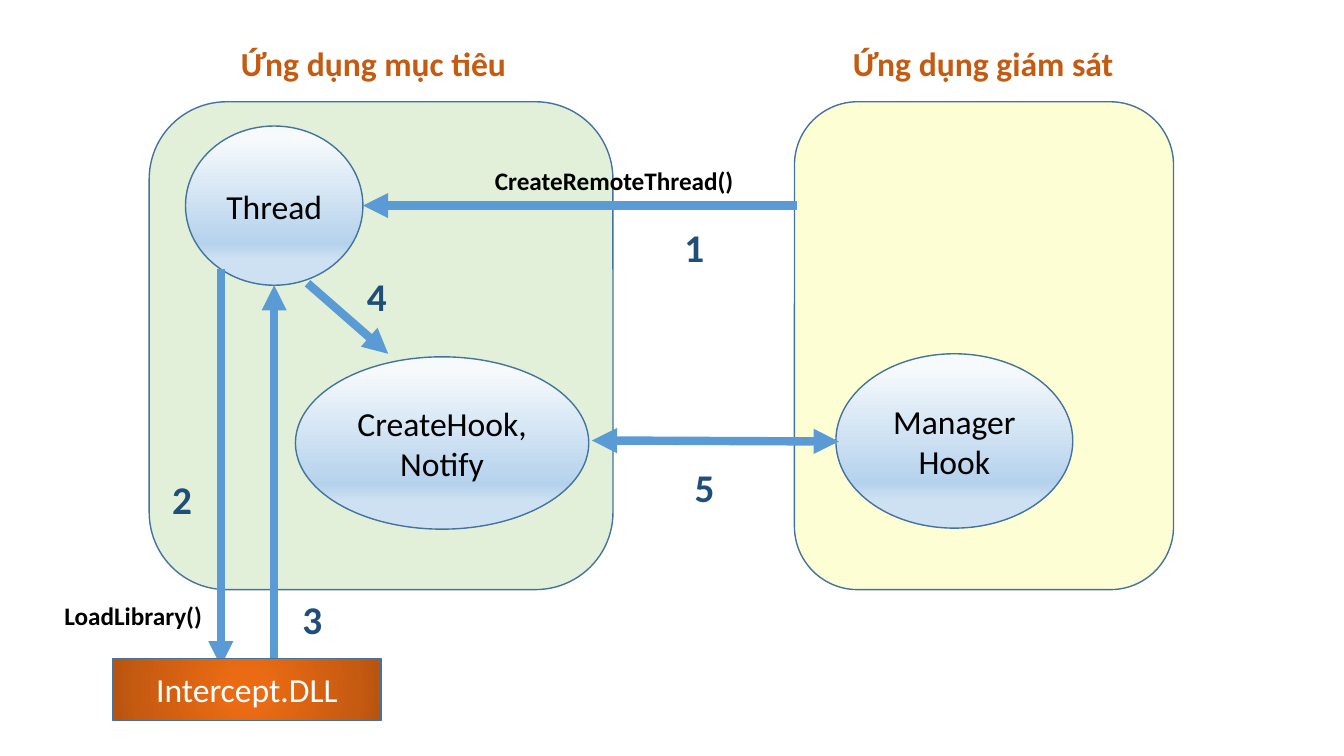
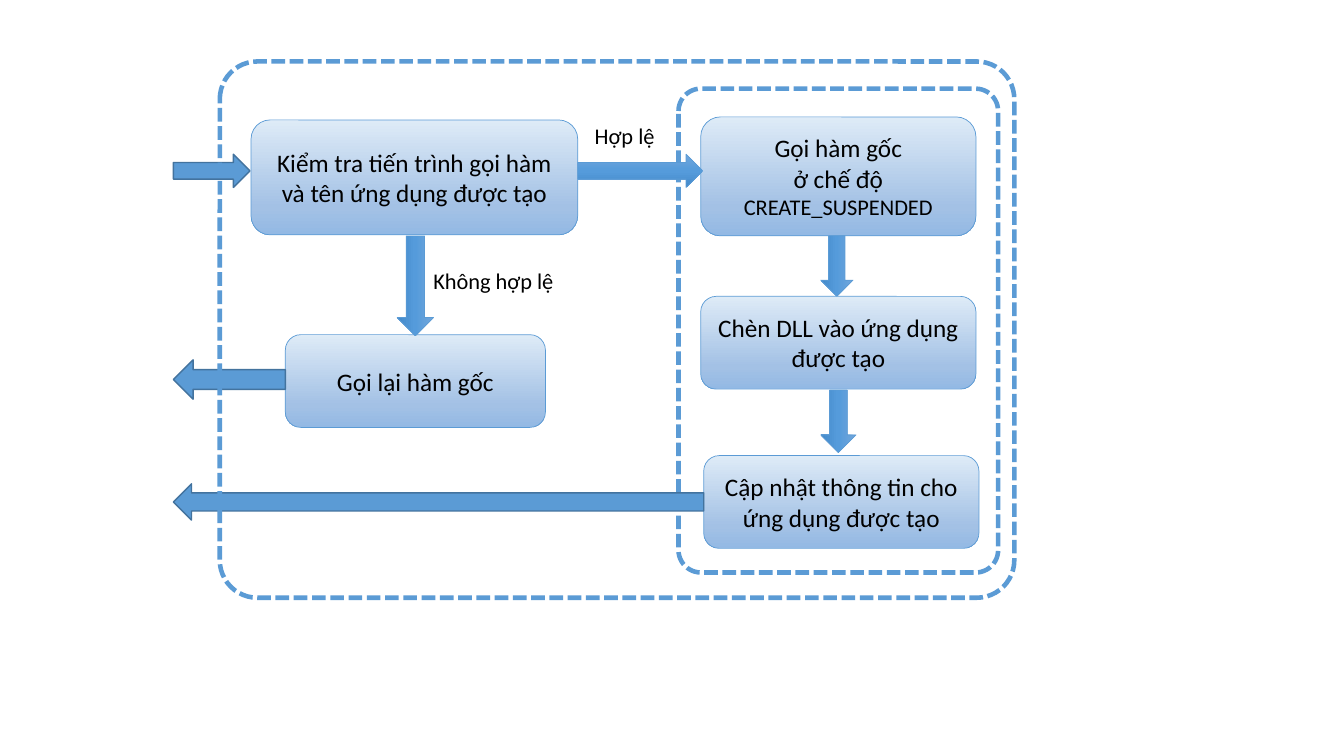
import pptx
import pptx.util
import pptx.dml.color
import pptx.enum.dml
import pptx.enum.shapes
import pptx.enum.text
import pptx.oxml.ns
import lxml.etree

RGBColor = pptx.dml.color.RGBColor
SHAPE = pptx.enum.shapes.MSO_SHAPE
qn = pptx.oxml.ns.qn

EMU_PER_PX = 9144
FONT = "Calibri"

BLACK = RGBColor(0x00, 0x00, 0x00)
WHITE = RGBColor(0xFF, 0xFF, 0xFF)
BLUE = RGBColor(0x5B, 0x9B, 0xD5)
OUTLINE = RGBColor(0x43, 0x73, 0x9E)
NAVY = RGBColor(0x1F, 0x4E, 0x79)
RUST = RGBColor(0xC5, 0x5A, 0x11)
PALE_GREEN = RGBColor(0xE2, 0xF0, 0xD9)
PALE_YELLOW = RGBColor(0xFE, 0xFE, 0xD4)

NODE_STOPS = [(7, RGBColor(0xF7, 0xFA, 0xFD)), (74, RGBColor(0xB5, 0xD2, 0xEC)),
              (84, RGBColor(0xCE, 0xE1, 0xF2))]
STEP_STOPS = [(0, RGBColor(0xDE, 0xEB, 0xF7)), (76, RGBColor(0xA3, 0xC1, 0xE5)),
              (100, RGBColor(0x93, 0xB9, 0xE4))]
ARROW_STOPS = [(0, RGBColor(0x71, 0xA6, 0xDB)), (50, RGBColor(0x55, 0x9B, 0xDB)),
               (100, RGBColor(0x44, 0x8A, 0xCA))]
LIBRARY_STOPS = [(0, RGBColor(0xEA, 0x6B, 0x14)), (13, RGBColor(0xEA, 0x6B, 0x14)),
                 (82, RUST), (97, RGBColor(0xB8, 0x54, 0x10))]


def px(value):
    return pptx.util.Emu(value * EMU_PER_PX)


def inside(box, left, top, width, height):
    return box[0] + left, box[1] + top, width, height


def style_run(run, size, color, bold=False):
    run.font.name = FONT
    run.font.size = pptx.util.Pt(size)
    run.font.bold = bold
    run.font.color.rgb = color


def fill_gradient(shape, stops, angle):
    shape.fill.gradient()
    gradient = shape._element.spPr.find(qn("a:gradFill"))
    gradient.set("rotWithShape", "1")
    for child in list(gradient):
        gradient.remove(child)
    stop_list = lxml.etree.SubElement(gradient, qn("a:gsLst"))
    for position, color in stops:
        stop = lxml.etree.SubElement(stop_list, qn("a:gs"), pos=str(position * 1000))
        lxml.etree.SubElement(stop, qn("a:srgbClr"), val=str(color))
    if angle is None:
        radial = lxml.etree.SubElement(gradient, qn("a:path"))
        radial.set("path", "circle")
        sides = dict.fromkeys("ltrb", "50000")
        lxml.etree.SubElement(radial, qn("a:fillToRect"), **sides)
    else:
        lxml.etree.SubElement(gradient, qn("a:lin"), ang=str(angle * 60000), scaled="0")


def add_shape(slide, preset, box, fill=None, angle=90, line=OUTLINE, line_width=1):
    shape = slide.shapes.add_shape(preset, *map(px, box))
    shape.shadow.inherit = False
    if fill is None:
        shape.fill.background()
    elif isinstance(fill, list):
        fill_gradient(shape, fill, angle)
    else:
        shape.fill.solid()
        shape.fill.fore_color.rgb = fill
    shape.line.color.rgb = line
    shape.line.width = pptx.util.Pt(line_width)
    return shape


def write_centred(shape, text, size, color=BLACK):
    text_frame = shape.text_frame
    text_frame.word_wrap = True
    text_frame.vertical_anchor = pptx.enum.text.MSO_ANCHOR.MIDDLE
    text_frame.text = text
    for paragraph in text_frame.paragraphs:
        paragraph.alignment = pptx.enum.text.PP_ALIGN.CENTER
        for run in paragraph.runs:
            style_run(run, size, color)


def add_label(slide, box, text, size, color=BLACK, bold=False):
    text_frame = slide.shapes.add_textbox(*map(px, box)).text_frame
    text_frame.word_wrap = False
    text_frame.auto_size = pptx.enum.text.MSO_AUTO_SIZE.SHAPE_TO_FIT_TEXT
    text_frame.text = text
    style_run(text_frame.paragraphs[0].runs[0], size, color, bold)


def add_arrow(slide, start, end, both_ends=False):
    connector = slide.shapes.add_connector(
        pptx.enum.shapes.MSO_CONNECTOR.STRAIGHT, *map(px, start + end))
    connector.line.color.rgb = BLUE
    connector.line.width = pptx.util.Pt(6)
    properties = connector._element.spPr
    line = properties.find(qn("a:ln"))
    for tag in ["a:headEnd", "a:tailEnd"] if both_ends else ["a:tailEnd"]:
        lxml.etree.SubElement(line, qn(tag), type="triangle")
    lxml.etree.SubElement(properties, qn("a:effectLst"))


def draw_application(slide, box, heading, heading_box, fill, nodes):
    add_shape(slide, SHAPE.ROUNDED_RECTANGLE, box, fill)
    add_label(slide, inside(box, *heading_box), heading, 24, RUST, True)
    for text, node_box in nodes:
        node = add_shape(slide, SHAPE.OVAL, inside(box, *node_box), NODE_STOPS)
        write_centred(node, text, 24)


def draw_library(slide, box):
    library = add_shape(slide, SHAPE.RECTANGLE, box, LIBRARY_STOPS, angle=None)
    write_centred(library, "Intercept.DLL", 24, WHITE)


def build_hook_slide(slide):
    draw_application(slide, (148, 101, 460, 484), "Ứng dụng mục tiêu",
                     (81, -63, 286, 50), PALE_GREEN,
                     [("Thread", (36, 24, 176, 158)),
                      ("CreateHook, Notify", (145, 253, 291, 171))])
    draw_application(slide, (788, 101, 376, 484), "Ứng dụng giám sát",
                     (48, -63, 281, 50), PALE_YELLOW,
                     [("Manager Hook", (41, 250, 235, 173))])
    add_arrow(slide, (790, 204), (360, 204))
    add_arrow(slide, (219, 267), (219, 661))
    draw_library(slide, (112, 653, 266, 62))
    add_arrow(slide, (272, 653), (272, 283))
    add_arrow(slide, (305, 281), (385, 351))
    add_arrow(slide, (832, 438), (587, 437), both_ends=True)
    add_label(slide, (481, 159, 260, 40), "CreateRemoteThread()", 18, bold=True)
    add_label(slide, (54, 591, 158, 40), "LoadLibrary()", 18, bold=True)
    step_places = [(669, 217), (161, 467), (290, 586), (354, 265), (679, 455)]
    for number, (left, top) in enumerate(step_places, 1):
        add_label(slide, (left, top, 38, 57), str(number), 28, NAVY, True)


def draw_step(slide, box, text):
    step = add_shape(slide, SHAPE.ROUNDED_RECTANGLE, box, STEP_STOPS,
                     line=BLUE, line_width=0.5)
    write_centred(step, text, 18)
    return step


def draw_inner_arrow(slide, preset, box, angle):
    add_shape(slide, preset, box, ARROW_STOPS, angle, BLUE, 0.5)


def draw_dashed_frame(slide, box, fill=None):
    frame = add_shape(slide, SHAPE.ROUNDED_RECTANGLE, box, fill,
                      line=BLUE, line_width=3.25)
    frame.adjustments[0] = 0.07
    frame.line.dash_style = pptx.enum.dml.MSO_LINE.SQUARE_DOT


def draw_injection(slide, box):
    draw_dashed_frame(slide, box, WHITE)
    suspended = draw_step(slide, inside(box, 22, 28, 273, 118),
                          "Gọi hàm gốc\nở chế độ ")
    run = suspended.text_frame.paragraphs[1].add_run()
    run.text = "CREATE_SUSPENDED"
    style_run(run, 16, BLACK)
    draw_step(slide, inside(box, 22, 206, 273, 92), "Chèn DLL vào ứng dụng được tạo")
    draw_step(slide, inside(box, 25, 364, 273, 92),
              "Cập nhật thông tin cho ứng dụng được tạo")
    for arrow_box in [(141, 146, 32, 60), (141, 299, 35, 62)]:
        draw_inner_arrow(slide, SHAPE.DOWN_ARROW, inside(box, *arrow_box), 180)


def draw_check(slide, box):
    draw_step(slide, inside(box, 0, 0, 324, 114),
              "Kiểm tra tiến trình gọi hàm và tên ứng dụng được tạo")
    draw_step(slide, inside(box, 34, 213, 258, 92), "Gọi lại hàm gốc")
    draw_inner_arrow(slide, SHAPE.RIGHT_ARROW, inside(box, 324, 34, 124, 33), 90)
    draw_inner_arrow(slide, SHAPE.DOWN_ARROW, inside(box, 145, 115, 36, 99), 180)
    add_label(slide, inside(box, 331, -3, 87, 37), "Hợp lệ", 16)
    add_label(slide, inside(box, 171, 141, 154, 37), "Không hợp lệ", 16)


def build_flow_slide(slide):
    draw_injection(slide, (673, 88, 317, 480))
    draw_check(slide, (249, 119, 324, 305))
    for preset, top, width, height in [(SHAPE.RIGHT_ARROW, 153, 76, 33),
                                       (SHAPE.LEFT_ARROW, 357, 111, 39),
                                       (SHAPE.LEFT_ARROW, 480, 526, 36)]:
        add_shape(slide, preset, (172, top, width, height), BLUE)
    draw_dashed_frame(slide, (218, 61, 788, 532))


def main():
    presentation = pptx.Presentation()
    presentation.slide_width = px(1333)
    presentation.slide_height = px(750)
    blank_layout = presentation.slide_layouts[6]
    for build in (build_hook_slide, build_flow_slide):
        build(presentation.slides.add_slide(blank_layout))
    presentation.save("out.pptx")


if __name__ == "__main__":
    main()
